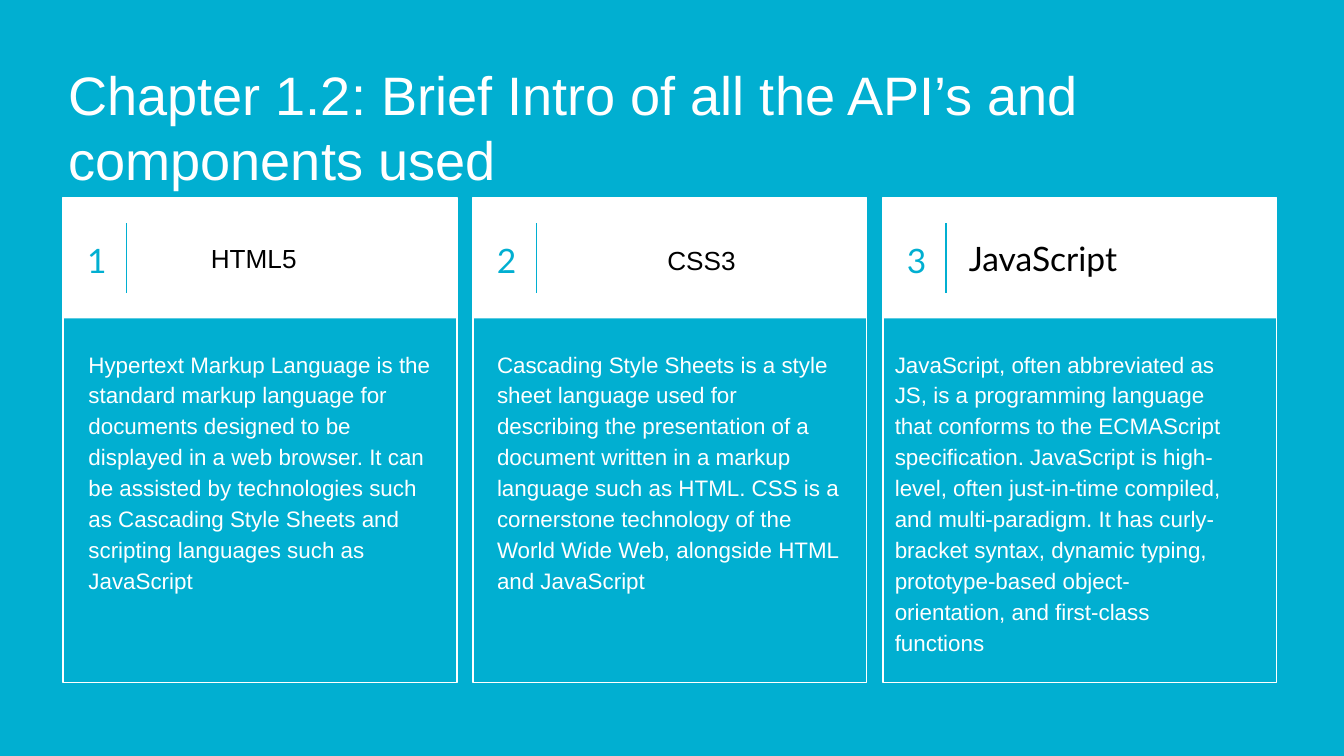
from pptx import Presentation
from pptx.dml.color import RGBColor
from pptx.enum.shapes import MSO_CONNECTOR, MSO_SHAPE
from pptx.enum.text import MSO_ANCHOR, PP_ALIGN
from pptx.oxml.ns import qn
from pptx.util import Inches, Pt
from lxml import etree

RECTANGLE = MSO_SHAPE.RECTANGLE
STRAIGHT = MSO_CONNECTOR.STRAIGHT
LEFT, CENTER = PP_ALIGN.LEFT, PP_ALIGN.CENTER
TOP, MIDDLE = MSO_ANCHOR.TOP, MSO_ANCHOR.MIDDLE

BLUE, WHITE, BLACK = "01AFD1", "FFFFFF", "000000"
TITLE = "Chapter 1.2: Brief Intro of all the API’s and components used"
CARDS = [
    dict(label="HTML5", label_inset=1.0, label_style=dict(size=14),
         body_inset=0.09,
         body="Hypertext Markup Language is the standard markup language for "
              "documents designed to be displayed in a web browser. It can be "
              "assisted by technologies such as Cascading Style Sheets and "
              "scripting languages such as JavaScript"),
    dict(label="CSS3", label_inset=0.55,
         label_style=dict(size=14, align=CENTER, spacing=1.15),
         body_inset=0.08,
         body="Cascading Style Sheets is a style sheet language used for "
              "describing the presentation of a document written in a markup "
              "language such as HTML. CSS is a cornerstone technology of the "
              "World Wide Web, alongside HTML and JavaScript"),
    dict(label="JavaScript", label_inset=0.54,
         label_style=dict(size=18, font="Lato"),
         body_inset=-0.01,
         body="JavaScript, often abbreviated as JS, is a programming language "
              "that conforms to the ECMAScript specification. JavaScript is "
              "high-level, often just-in-time compiled, and multi-paradigm. It "
              "has curly-bracket syntax, dynamic typing, prototype-based "
              "object-orientation, and first-class functions"),
]

SLIDE_W = 10
SLIDE_H = SLIDE_W * 9 / 16
CARD_LEFT, CARD_TOP = 0.47, 1.47
CARD_W, CARD_H, HEADER_H = 2.93, 3.61, 0.9
CARD_PITCH = 3.05
NUMBER_TOP = 1.46
DIVIDER_INSET, DIVIDER_TOP, DIVIDER_H = 0.47, 1.66, 0.52
BODY_TOP, BODY_W, BODY_H = 2.48, 2.77, 2.6


def color(hex_value):
    return RGBColor.from_string(hex_value)


def add_text(text, left, top, width, height, size=12, font="Arial",
             fill=WHITE, align=LEFT, anchor=TOP, spacing=1.0):
    box = slide.shapes.add_textbox(
        Inches(left), Inches(top), Inches(width), Inches(height))
    frame = box.text_frame
    frame.word_wrap = True
    frame.vertical_anchor = anchor
    frame.margin_left = frame.margin_right = Inches(0.1)
    frame.margin_top = frame.margin_bottom = Inches(0.1)
    paragraph = frame.paragraphs[0]
    paragraph.alignment = align
    paragraph.line_spacing = spacing
    run = paragraph.add_run()
    run.text = text
    run.font.size = Pt(size)
    run.font.name = font
    run.font.color.rgb = color(fill)


def add_panel(left, height, fill=None, outline=None):
    panel = slide.shapes.add_shape(
        RECTANGLE, Inches(left), Inches(CARD_TOP), Inches(CARD_W), Inches(height))
    panel.shadow.inherit = False
    if fill:
        panel.fill.solid()
        panel.fill.fore_color.rgb = color(fill)
    else:
        panel.fill.background()
    if outline:
        panel.line.color.rgb = color(outline)
        panel.line.width = Pt(0.75)
    else:
        panel.line.fill.background()


def add_divider(x):
    divider = slide.shapes.add_connector(
        STRAIGHT, Inches(x), Inches(DIVIDER_TOP),
        Inches(x), Inches(DIVIDER_TOP + DIVIDER_H))
    divider.line.color.rgb = color(BLUE)
    divider.line.width = Pt(0.75)
    etree.SubElement(divider._element.spPr, qn("a:effectLst"))


prs = Presentation()
prs.slide_width, prs.slide_height = Inches(SLIDE_W), Inches(SLIDE_H)
slide = prs.slides.add_slide(prs.slide_layouts[6])
slide.background.fill.solid()
slide.background.fill.fore_color.rgb = color(BLUE)

add_text(TITLE, 0.41, 0.36, 9.15, 0.75, size=29)
for index, card in enumerate(CARDS):
    left = CARD_LEFT + index * CARD_PITCH
    add_panel(left, CARD_H, outline=WHITE)
    add_panel(left, HEADER_H, fill=WHITE)
    add_text(str(index + 1), left + 0.06, NUMBER_TOP, 0.38, HEADER_H, size=18,
             font="Lato", fill=BLUE, align=CENTER, anchor=MIDDLE, spacing=1.15)
    add_divider(left + DIVIDER_INSET)
    label_left = left + card["label_inset"]
    add_text(card["label"], label_left, CARD_TOP, left + CARD_W - 0.08 - label_left,
             HEADER_H, fill=BLACK, anchor=MIDDLE, **card["label_style"])
    add_text(card["body"], left + card["body_inset"], BODY_TOP, BODY_W, BODY_H,
             spacing=1.15)

prs.save("out.pptx")
